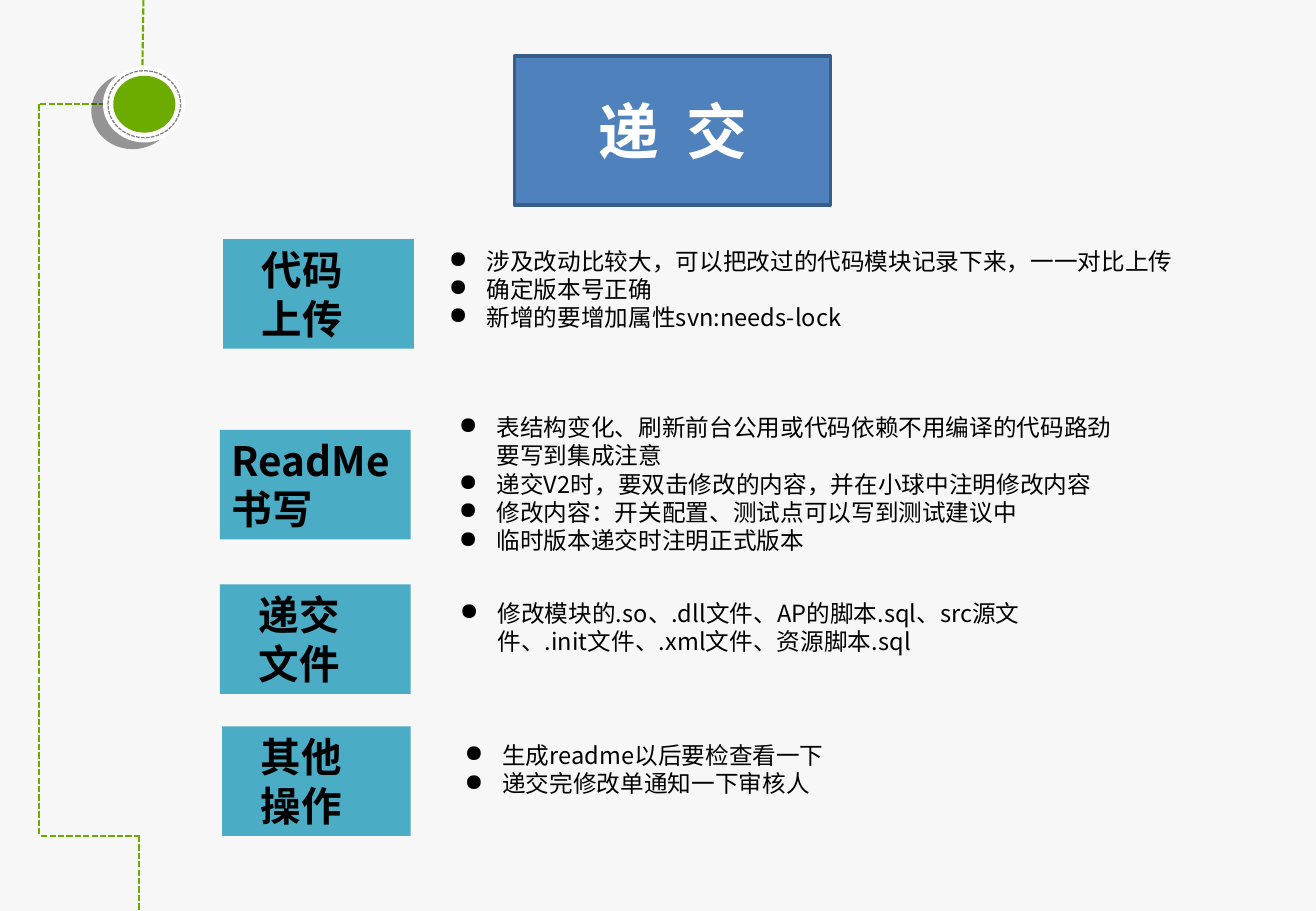
from lxml import etree
from pptx import Presentation
from pptx import util as u
from pptx.dml import color as c
from pptx.enum import dml, shapes, text
from pptx.oxml import ns

theme = {
    "font": "Noto Sans CJK SC",
    "back": "F7F7F7", "green": "6CAC00", "grey": "7F7F7F", "white": "FFFFFF",
    "black": "000000", "blue": "4F81BD", "navy": "385D8A", "teal": "4BACC6",
    "title": 36, "label": 24, "body": 14, "pitch": 1.2,
}


def add(parent, tag, **attrs):
    return etree.SubElement(parent, ns.qn(tag), attrs)


def write(frame, lines, size, tone, bold=False, align=None, left=0, hang=0):
    """Fill a frame with one paragraph per line; a hang gives it bullets."""
    frame.word_wrap = True
    for i, line in enumerate(lines):
        para = frame.paragraphs[0] if i == 0 else frame.add_paragraph()
        props = para._p.get_or_add_pPr()
        props.set("marL", str(u.Cm(left)))
        props.set("indent", str(-u.Cm(hang)))
        if hang:
            add(add(props, "a:buClr"), "a:srgbClr", val=theme["black"])
            add(props, "a:buChar", char="●")
        para.alignment = align or text.PP_ALIGN.LEFT
        para.line_spacing = u.Pt(round(size * theme["pitch"], 1))
        run = para.add_run()
        run.text = line
        form = {"name": theme["font"], "size": u.Pt(size), "bold": bold}
        for key, value in form.items():
            setattr(run.font, key, value)
        run.font.color.rgb = c.RGBColor.from_string(theme[tone])
        add(run._r.get_or_add_rPr(), "a:ea", typeface=theme["font"])


deck = Presentation()
deck.slide_width, deck.slide_height = u.Cm(27.53), u.Cm(19.05)
slide = deck.slides.add_slide(deck.slide_layouts[6])
slide.background.fill.solid()
slide.background.fill.fore_color.rgb = c.RGBColor.from_string(theme["back"])

# Dashed path down the left side
path_lines = [
    (0.84, 2.18, 3.1, 2.18),
    (3, 0, 2.97, 2.11),
    (0.81, 2.18, 0.81, 17.48),
    (0.86, 17.48, 2.92, 17.48),
    (2.9, 17.48, 2.9, 19.05),
]
for ends in path_lines:
    line = slide.shapes.add_connector(
        shapes.MSO_CONNECTOR.STRAIGHT, *[u.Cm(n) for n in ends])
    line.line.color.rgb = c.RGBColor.from_string(theme["green"])
    line.line.width = u.Pt(1.25)
    line.line.dash_style = dml.MSO_LINE.SQUARE_DOT
    add(line._element.spPr, "a:effectLst")

# Round marker: three ovals on one centre
mid_x, mid_y = 3.02, 2.18
ovals = [(1.73, 1.6, "white"), (1.3, 1.19, "green"), (1.52, 1.4, None)]
for wide, high, tone in ovals:
    oval = slide.shapes.add_shape(
        shapes.MSO_SHAPE.OVAL, u.Cm(mid_x - wide / 2), u.Cm(mid_y - high / 2),
        u.Cm(wide), u.Cm(high))
    oval.shadow.inherit = False
    if tone:
        oval.fill.solid()
        oval.fill.fore_color.rgb = c.RGBColor.from_string(theme[tone])
        oval.line.fill.background()
    else:
        oval.fill.background()
        oval.line.color.rgb = c.RGBColor.from_string(theme["grey"])
        oval.line.width = u.Pt(0.75)
        oval.line.dash_style = dml.MSO_LINE.SQUARE_DOT
    if tone == "white":
        effect = oval._element.spPr.find(ns.qn("a:effectLst"))
        shade = add(effect, "a:outerShdw", blurRad="0", dist=str(u.Pt(8)),
                    dir=str(150 * 60000), algn="ctr", rotWithShape="0")
        ink = add(shade, "a:srgbClr", val=theme["black"])
        add(ink, "a:alpha", val="40000")

# Title
title = slide.shapes.add_shape(
    shapes.MSO_SHAPE.RECTANGLE, u.Cm(10.77), u.Cm(1.17), u.Cm(6.6), u.Cm(3.12))
title.shadow.inherit = False
title.fill.solid()
title.fill.fore_color.rgb = c.RGBColor.from_string(theme["blue"])
title.line.color.rgb = c.RGBColor.from_string(theme["navy"])
title.line.width = u.Pt(2)
title.text_frame.vertical_anchor = text.MSO_ANCHOR.MIDDLE
write(title.text_frame, ["递 交"], theme["title"], "white", True,
      text.PP_ALIGN.CENTER)
title.text_frame.paragraphs[0].runs[0]._r.get_or_add_rPr().set("spc", "400")

# Steps: label place, label, label indent, body place, body lines
steps = [
    ((4.67, 5, 3.99), ["代码", "上传"], 0.56, (9.14, 5.03, 15.93, 2.03), [
        "涉及改动比较大，可以把改过的代码模块记录下来，一一对比上传",
        "确定版本号正确",
        "新增的要增加属性svn:needs-lock"]),
    ((4.6, 8.99, 3.99), ["ReadMe书写"], 0, (9.35, 8.51, 14.53, 3.23), [
        "表结构变化、刷新前台公用或代码依赖不用编译的代码路劲要写到集成注意",
        "递交V2时，要双击修改的内容，并在小球中注明修改内容",
        "修改内容：开关配置、测试点可以写到测试建议中",
        "临时版本递交时注明正式版本"]),
    ((4.6, 12.22, 3.99), ["递交", "文件"], 0.56, (9.37, 12.4, 12.22, 2.03), [
        "修改模块的.so、.dll文件、AP的脚本.sql、src源文件、.init文件、"
        ".xml文件、资源脚本.sql"]),
    ((4.65, 15.19, 3.94), ["其他", "操作"], 0.56, (9.47, 15.37, 11.84, 1.45), [
        "生成readme以后要检查看一下",
        "递交完修改单通知一下审核人"]),
]
for spot, name, left, area, lines in steps:
    body = slide.shapes.add_textbox(*[u.Cm(n) for n in area])
    write(body.text_frame, lines, theme["body"], "black", left=0.79, hang=0.79)

    label = slide.shapes.add_shape(
        shapes.MSO_SHAPE.RECTANGLE, *[u.Cm(n) for n in spot], u.Cm(2.29))
    label.shadow.inherit = False
    label.fill.solid()
    label.fill.fore_color.rgb = c.RGBColor.from_string(theme["teal"])
    label.line.fill.background()
    label.text_frame.vertical_anchor = text.MSO_ANCHOR.TOP
    write(label.text_frame, name, theme["label"], "black", True, left=left)

deck.save("out.pptx")
